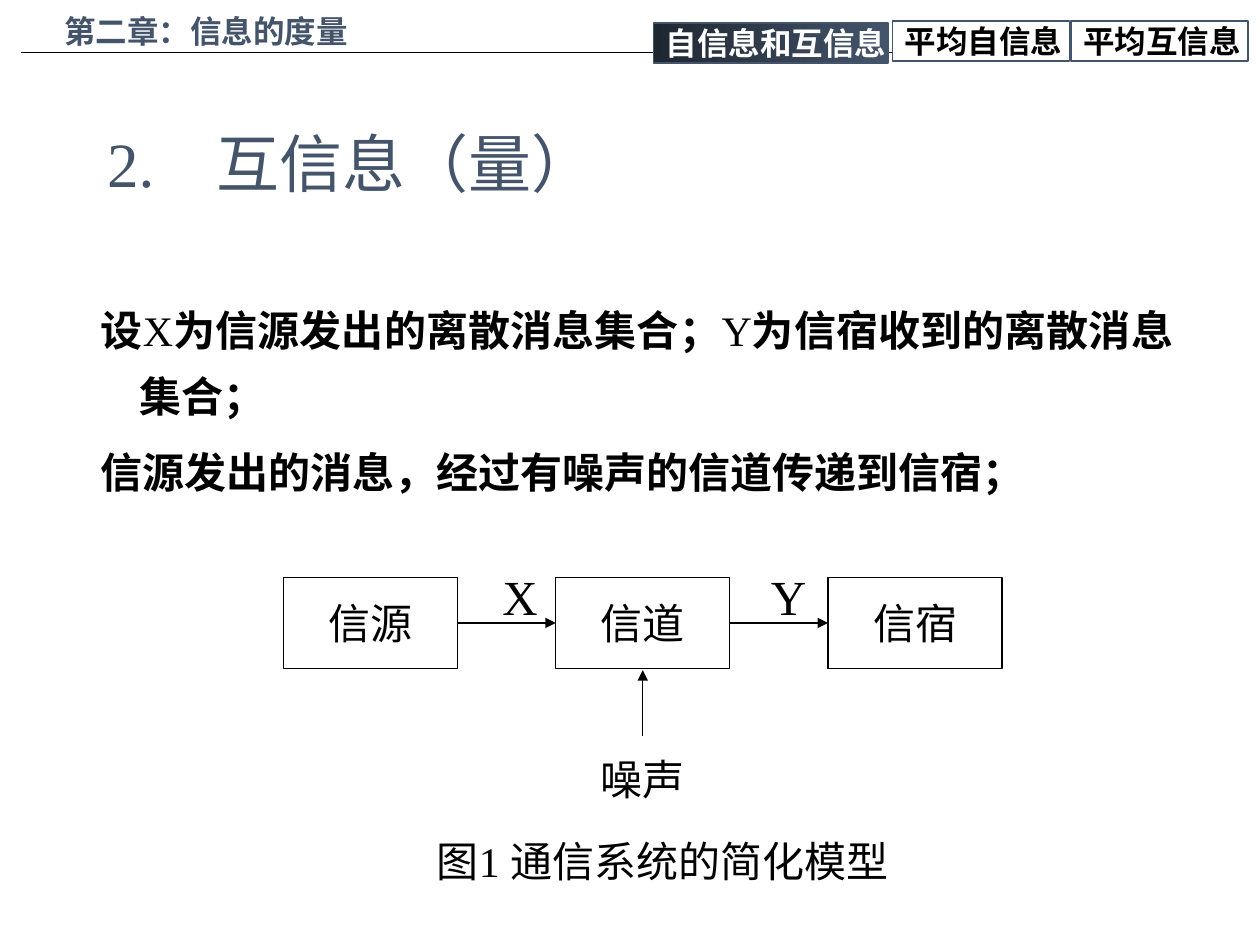
"""Builds the slide on mutual information with its communication system diagram."""
import pptx
import pptx.dml.color
import pptx.enum.dml
import pptx.enum.shapes
import pptx.enum.text
import pptx.oxml
import pptx.oxml.ns
import pptx.util

Pt = pptx.util.Pt
ALIGN = pptx.enum.text.PP_ALIGN
ANCHOR = pptx.enum.text.MSO_ANCHOR
AUTO = pptx.enum.text.MSO_AUTO_SIZE
LATIN, CJK = "Times New Roman", "Noto Sans CJK SC"
SLATE, NIGHT, BLACK, WHITE = "44546A", "1F2731", "000000", "FFFFFF"

TITLE = "2.\t互信息（量）"
CHAPTER = "第二章：信息的度量"
TABS = [
    ("平均自信息", (510, 12, 101.2, 23), False),
    ("平均互信息", (612, 12, 101.2, 23), False),
    ("自信息和互信息", (373.4, 13, 134.2, 23), True),
]
BODY = [
    [("设", True), ("X", False), ("为信源发出的离散消息集合；", True),
     ("Y", False), ("为信宿收到的离散消息集合；", True)],
    [("信源发出的消息，经过有噪声的信道传递到信宿；", True)],
]
STAGES = ["信源", "信道", "信宿"]
SIGNALS = [("X", 280), ("Y", 433.4)]
NOISE = "噪声"
CAPTION = "图1 通信系统的简化模型"

STAGE_X, STAGE_Y, STAGE_W, STAGE_H, STAGE_STEP = 162, 330, 99.4, 52, 155.6


def rgb(value):
    return pptx.dml.color.RGBColor.from_string(value)


def apply(target, values):
    for name, value in values.items():
        setattr(target, name, value)


def element(tag, attributes):
    return pptx.oxml.parse_xml(f"<a:{tag} {pptx.oxml.ns.nsdecls('a')} {attributes}/>")


def place(sp, box):
    apply(sp, dict(zip(("left", "top", "width", "height"), map(Pt, box))))


def indent(p, margin, first):
    for name, value in (("marL", margin), ("indent", first)):
        p._p.get_or_add_pPr().set(name, str(int(Pt(value))))


def add_run(p, text, size, color=BLACK, bold=False):
    r = p.add_run()
    r.text = text
    apply(r.font, {"size": Pt(size), "bold": bold, "name": LATIN})
    r.font.color.rgb = rgb(color)
    r._r.get_or_add_rPr().append(element("ea", f'typeface="{CJK}"'))


def write(sp, text, size, color=BLACK, bold=False, align=ALIGN.LEFT, **frame):
    tf = sp.text_frame
    apply(tf, {"word_wrap": True, "vertical_anchor": ANCHOR.TOP,
               "auto_size": AUTO.NONE, **frame})
    p = tf.paragraphs[0]
    p.alignment = align
    add_run(p, text, size, color, bold)
    return p


def add_text(s, box, *args, **kwargs):
    sp = s.shapes.add_textbox(*map(Pt, box))
    p = write(sp, *args, **{"auto_size": AUTO.SHAPE_TO_FIT_TEXT, **kwargs})
    place(sp, box)
    return p


def add_box(s, box, line, width):
    sp = s.shapes.add_shape(pptx.enum.shapes.MSO_SHAPE.RECTANGLE, *map(Pt, box))
    sp.shadow.inherit = False
    sp.fill.background()
    sp.line.color.rgb = rgb(line)
    sp.line.width = Pt(width)
    return sp


def add_line(s, points, width=0.75, arrow=True):
    sp = s.shapes.add_connector(pptx.enum.shapes.MSO_CONNECTOR.STRAIGHT, *map(Pt, points))
    sp.line.color.rgb = rgb(BLACK)
    sp.line.width = Pt(width)
    if arrow:
        sp.line._get_or_add_ln().append(element("tailEnd", 'type="triangle"'))
    sp._element.spPr.append(element("effectLst", ""))


def add_header(s):
    add_line(s, (12.2, 30, 713.5, 30), 1, False)
    for text, box, active in TABS:
        sp = add_box(s, box, SLATE, 1)
        if active:
            sp.fill.gradient()
            sp.fill.gradient_angle = 0
            for stop, color in zip(sp.fill.gradient_stops, (NIGHT, SLATE)):
                stop.color.rgb = rgb(color)
        else:
            sp.fill.solid()
            sp.fill.fore_color.rgb = rgb(WHITE)
        write(sp, text, 18, WHITE if active else BLACK, True,
              word_wrap=False, vertical_anchor=ANCHOR.MIDDLE)
    add_text(s, (5.8, 3.3, 223.9, 28.8), CHAPTER, 18, SLATE, True, ALIGN.CENTER,
             vertical_anchor=ANCHOR.MIDDLE)


def add_body(s):
    box = (14.4, 162, 663.1, 125.3)
    sp = s.shapes.add_textbox(*map(Pt, box))
    tf = sp.text_frame
    apply(tf, {"word_wrap": True, "auto_size": AUTO.SHAPE_TO_FIT_TEXT})
    for i, runs in enumerate(BODY):
        p = tf.add_paragraph() if i else tf.paragraphs[0]
        apply(p, {"alignment": ALIGN.JUSTIFY, "line_spacing": 1.3, "space_before": Pt(6 if i else 0)})
        indent(p, 58.3, -22.3)
        for text, bold in runs:
            add_run(p, text, 24, bold=bold)
    place(sp, box)


def add_diagram(s):
    middle = STAGE_Y + STAGE_H / 2
    for i, text in enumerate(STAGES):
        x = STAGE_X + i * STAGE_STEP
        sp = add_box(s, (x, STAGE_Y, STAGE_W, STAGE_H), BLACK, 0.75)
        write(sp, text, 24, align=ALIGN.CENTER, word_wrap=False, vertical_anchor=ANCHOR.MIDDLE)
        if i:
            add_line(s, (x - STAGE_STEP + STAGE_W, middle, x, middle))
    center = STAGE_X + STAGE_STEP + STAGE_W / 2
    add_line(s, (center, 420.5, center, 383))
    add_text(s, (center - 32, 427, 64, 36), NOISE, 24, align=ALIGN.CENTER, word_wrap=False)
    for text, x in SIGNALS:
        add_text(s, (x, 320, 48.2, 41), text, 28)
    p = add_text(s, (226, 473.8, 302.4, 36), CAPTION, 24, word_wrap=False)
    indent(p, 16.6, 0)


def main():
    prs = pptx.Presentation()
    apply(prs, {"slide_width": Pt(720), "slide_height": Pt(540)})
    s = prs.slides.add_slide(prs.slide_layouts[5])
    title = s.shapes.title
    place(title, (54, 47.8, 612, 90))
    p = write(title, TITLE, 36, SLATE, vertical_anchor=ANCHOR.MIDDLE)
    tabs = element("tabLst", "")
    tabs.append(element("tab", f'pos="{Pt(62.5)}" algn="l"'))
    p._p.get_or_add_pPr().append(tabs)
    add_header(s)
    add_body(s)
    add_diagram(s)
    prs.save("out.pptx")


if __name__ == "__main__":
    main()
